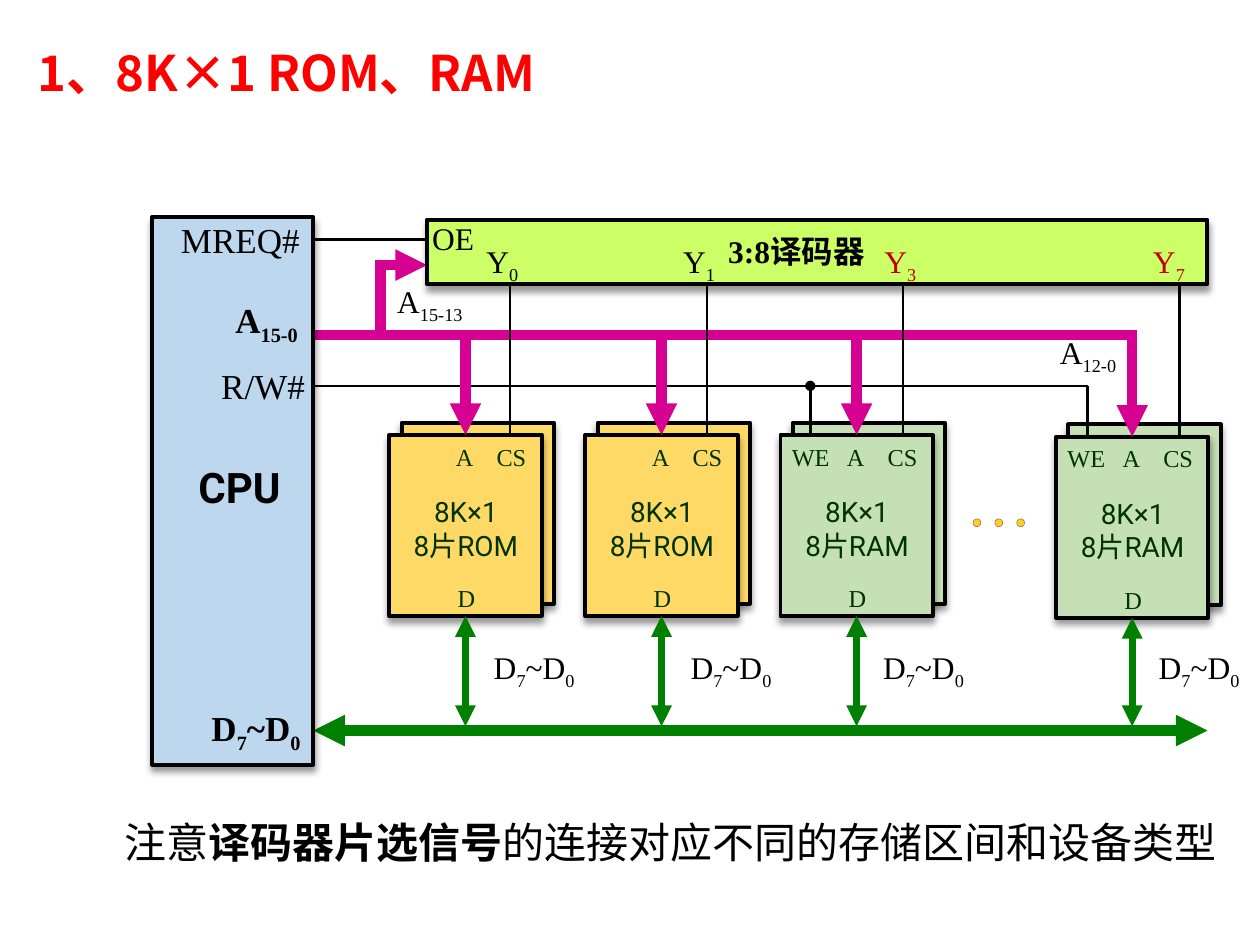
"""Builds a slide on wiring 8K×1 ROM and RAM chips to a CPU through a decoder."""
from lxml import etree
from pptx import Presentation
from pptx.dml.color import RGBColor
from pptx.enum.shapes import MSO_CONNECTOR, MSO_SHAPE
from pptx.enum.text import MSO_ANCHOR, MSO_AUTO_SIZE, PP_ALIGN
from pptx.oxml.ns import qn
from pptx.util import Pt

LINE = MSO_CONNECTOR.STRAIGHT
RECT, OVAL = MSO_SHAPE.RECTANGLE, MSO_SHAPE.OVAL
LEFT, MID, RIGHT = PP_ALIGN.LEFT, PP_ALIGN.CENTER, PP_ALIGN.RIGHT
SERIF, SANS, HAN = "Times New Roman", "Roboto", "Noto Sans CJK SC"
COLORS = {
    "black": "000000", "red": "FF0000", "dark red": "C00000", "ink": "003300",
    "ROM": "FFD966", "RAM": "C5E0B4", "cpu": "BDD7EE", "decoder": "CCFF66",
    "address": "D60093", "data": "008000", "dot": "FFCC00", "rim": "954F72",
}
CHIP_W, CHIP_H = 87, 103.5
BUS_Y, WRITE_Y, DATA_Y = 191.5, 220.5, 417.5
CPU_EDGE, DECODER_X, DECODER_END = 179, 244, 162.5
# kind, left, top, select line, Y index, Y label left, Y colour, data label right
CHIPS = [
    ("ROM", 222.5, 248.5, 291.5, 0, 270.5, "black", 329),
    ("ROM", 334.5, 248.5, 404, 1, 383, "black", 441.5),
    ("RAM", 446, 248.5, 516, 3, 498, "dark red", 551.5),
    ("RAM", 603.5, 249.5, 674, 7, 651.5, "dark red", 709),
]


def tint(name):
    """Return the named colour."""
    return RGBColor.from_string(COLORS[name])


def style(run, size, font, color, bold):
    """Format one run, with a Han font for its Chinese letters."""
    run.font.size, run.font.name, run.font.bold = Pt(size), font, bold
    run.font.color.rgb = tint(color)
    etree.SubElement(run.font._element, qn("a:ea"), typeface=HAN)


def label(slide, box, text, size=18, color="black", font=SERIF, bold=False,
          align=RIGHT, pad=0.7, wrap=True, base=0, odd="sub"):
    """Add text; every second part between bars is lowered or bold."""
    frame = slide.shapes.add_textbox(*map(Pt, box)).text_frame
    frame.word_wrap = wrap
    if pad is not None:
        frame.margin_left = frame.margin_right = Pt(pad)
        frame.margin_top = frame.margin_bottom = Pt(pad)
    for row, words in enumerate(text.split("\n")):
        para = frame.add_paragraph() if row else frame.paragraphs[0]
        para.alignment = align
        for place, part in enumerate(words.split("|")):
            run = para.add_run()
            run.text = part
            marked = place % 2 == 1
            style(run, size, font, color, bold or (marked and odd == "bold"))
            shift = -25 if marked and odd == "sub" else base
            if shift:
                run.font._element.set("baseline", str(shift * 1000))


def block(slide, box, fill):
    """Add an outlined box with a soft shadow below it."""
    shape = slide.shapes.add_shape(RECT, *map(Pt, box))
    shape.fill.solid()
    shape.fill.fore_color.rgb = tint(fill)
    shape.line.color.rgb, shape.line.width = tint("black"), Pt(2.25)
    shape.shadow.inherit = False
    effects = shape._element.spPr.find(qn("a:effectLst"))
    cast = etree.SubElement(effects, qn("a:outerShdw"), blurRad=str(Pt(4)),
                            dist=str(Pt(3)), dir="5400000", algn="t", rotWithShape="0")
    shade = etree.SubElement(cast, qn("a:srgbClr"), val=COLORS["black"])
    etree.SubElement(shade, qn("a:alpha"), val="40000")
    return shape


def wire(slide, start, end, color="black", width=1.5, head=None, tail=None):
    """Add a straight line with optional end marks."""
    link = slide.shapes.add_connector(LINE, *map(Pt, (*start, *end)))
    link.line.color.rgb, link.line.width = tint(color), Pt(width)
    for tag, mark in (("a:headEnd", head), ("a:tailEnd", tail)):
        if mark:
            etree.SubElement(link.line._get_or_add_ln(), qn(tag), type=mark)
    etree.SubElement(link._element.spPr, qn("a:effectLst"))
    return link


def dot(slide, x, y, size):
    """Add one dot of the ellipsis."""
    shape = slide.shapes.add_shape(OVAL, Pt(x), Pt(y), Pt(size), Pt(size))
    shape.fill.solid()
    shape.fill.fore_color.rgb = tint("dot")
    color = shape._element.spPr.find(qn("a:solidFill"))[0]
    etree.SubElement(color, qn("a:alpha"), val="90000")
    shape.line.color.rgb, shape.line.width = tint("rim"), Pt(0.25)
    shape.shadow.inherit = False


def chip(slide, kind, x, y):
    """Add a stack of two chips with pin names and return the front one."""
    block(slide, (x + 7, y - 7, CHIP_W, CHIP_H), kind)
    front = block(slide, (x, y, CHIP_W, CHIP_H), kind)
    pins = [("D", 31, 78.5, 26), ("A", 30, -2.5, 26), ("CS", 52.5, -2.5, 34.5)]
    if kind == "RAM":
        pins.append(("WE", -2.5, -2.5, 39.5))
    for name, left, top, width in pins:
        label(slide, (x + left, y + top, width, 36), name, 24, "ink",
              align=MID, pad=None, wrap=False, base=30)
    label(slide, (x - 1.5, y + 30.5, 90.5, 46), f"8K×1\n8片{kind}", 16, "ink",
          SANS, align=MID, pad=None)
    return front


def head(slide, text):
    """Place and format the title."""
    title = slide.shapes.title
    title.left, title.top, title.width, title.height = map(Pt, (14.5, 18.5, 690, 49))
    frame = title.text_frame
    frame.text = text
    frame.auto_size, frame.vertical_anchor = MSO_AUTO_SIZE.NONE, MSO_ANCHOR.MIDDLE
    para = frame.paragraphs[0]
    para.alignment, para.line_spacing = LEFT, 0.9
    style(para.runs[0], 28, HAN, "red", True)


def buses(slide):
    """Draw the lines that leave the CPU."""
    wire(slide, (CPU_EDGE, 137), (DECODER_X, 137))
    wire(slide, (CPU_EDGE, WRITE_Y), (622, WRITE_Y))
    wire(slide, (621.5, 249.5), (621.5, WRITE_Y))
    wire(slide, (463, 248.5), (463, WRITE_Y), tail="oval")
    wire(slide, (CPU_EDGE, BUS_Y), (650, BUS_Y), "address", 6)
    wire(slide, (217.5, 151.5), (217.5, BUS_Y), "address", 6)
    wire(slide, (214.5, 151.5), (DECODER_X, 151.5), "address", 6, tail="triangle")
    wire(slide, (CPU_EDGE, DATA_Y), (690, DATA_Y), "data", 6, "triangle", "triangle")
    label(slide, (194.5, 160.5, 70.5, 34.5), "A|15-13")
    label(slide, (567.5, 189.5, 71, 35), "A|12-0")


def join(slide, front, x, y, pick, edge):
    """Wire one chip to the address bus, the decoder and the data bus."""
    mid = x + CHIP_W / 2
    feed = wire(slide, (mid, BUS_Y), (mid, y), "address", 6, tail="triangle")
    feed.end_connect(front, 0)
    wire(slide, (pick, y), (pick, DECODER_END))
    link = wire(slide, (mid, y + CHIP_H), (mid, 415), "data", 4, "triangle", "triangle")
    link.begin_connect(front, 2)
    label(slide, (edge - 64, 369.5, 64, 34.5), "D|7|~D|0")


def cpu(slide):
    """Add the CPU and its pin names."""
    block(slide, (87, 124, CPU_EDGE - 87, 313), "cpu")
    for text, left, top, size, font, bold in (
            ("A|15-0", 90.5, 170, 20, SERIF, True),
            ("MREQ#", 91.5, 124, 20, SERIF, False),
            ("R/W#", 94.5, 207.5, 20, SERIF, False),
            ("CPU", 80.5, 263, 24, SANS, True),
            ("D|7|~D|0", 92, 403, 20, SERIF, True)):
        label(slide, (left, top, 80.5, 40), text, size, font=font, bold=bold)


def decoder(slide):
    """Add the decoder with its input and output names."""
    block(slide, (DECODER_X, 125.5, 446, 37), "decoder")
    label(slide, (409, 129, 96.5, 29), "3:8译码器", bold=True, align=LEFT,
          pad=None, wrap=False)
    label(slide, (242.5, 124.5, 33, 22.5), "OE", align=MID)
    for *_, index, left, color, _ in CHIPS:
        label(slide, (left, 137.5, 33, 22.5), f"Y|{index}", color=color, align=MID)


def main():
    """Build the slide and save it."""
    deck = Presentation()
    deck.slide_width, deck.slide_height = Pt(720), Pt(540)
    slide = deck.slides.add_slide(deck.slide_layouts[5])
    head(slide, "1、8K×1 ROM、RAM")
    fronts = [chip(slide, kind, x, y) for kind, x, y, *_ in CHIPS]
    buses(slide)
    for front, (_, x, y, pick, *_, edge) in zip(fronts, CHIPS):
        join(slide, front, x, y, pick, edge)
    for step in range(3):
        dot(slide, 556 + step * 12.5, 296.5, 4.5)
    cpu(slide)
    decoder(slide)
    label(slide, (47.5, 463, 671, 36), "注意|译码器片选信号|的连接对应不同的存储区间和设备类型",
          24, font=HAN, align=MID, pad=None, odd="bold")
    deck.save("out.pptx")


if __name__ == "__main__":
    main()
